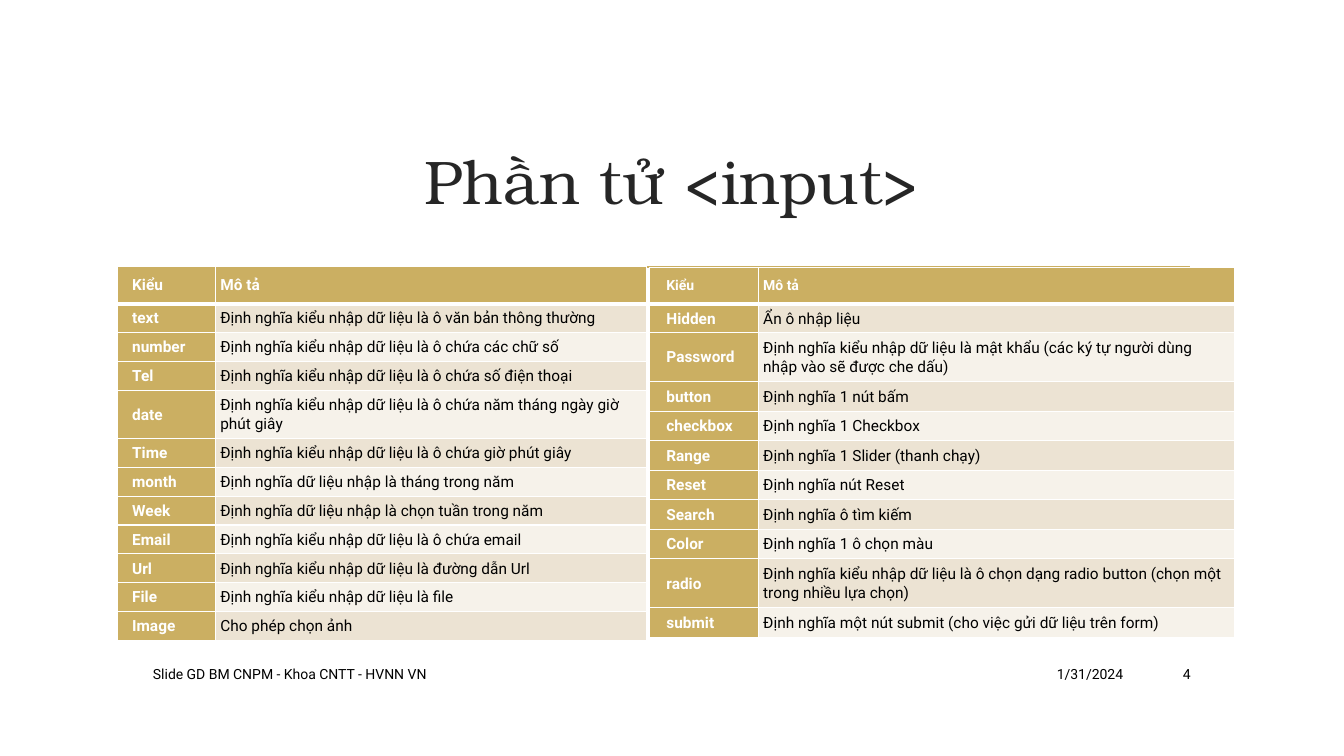
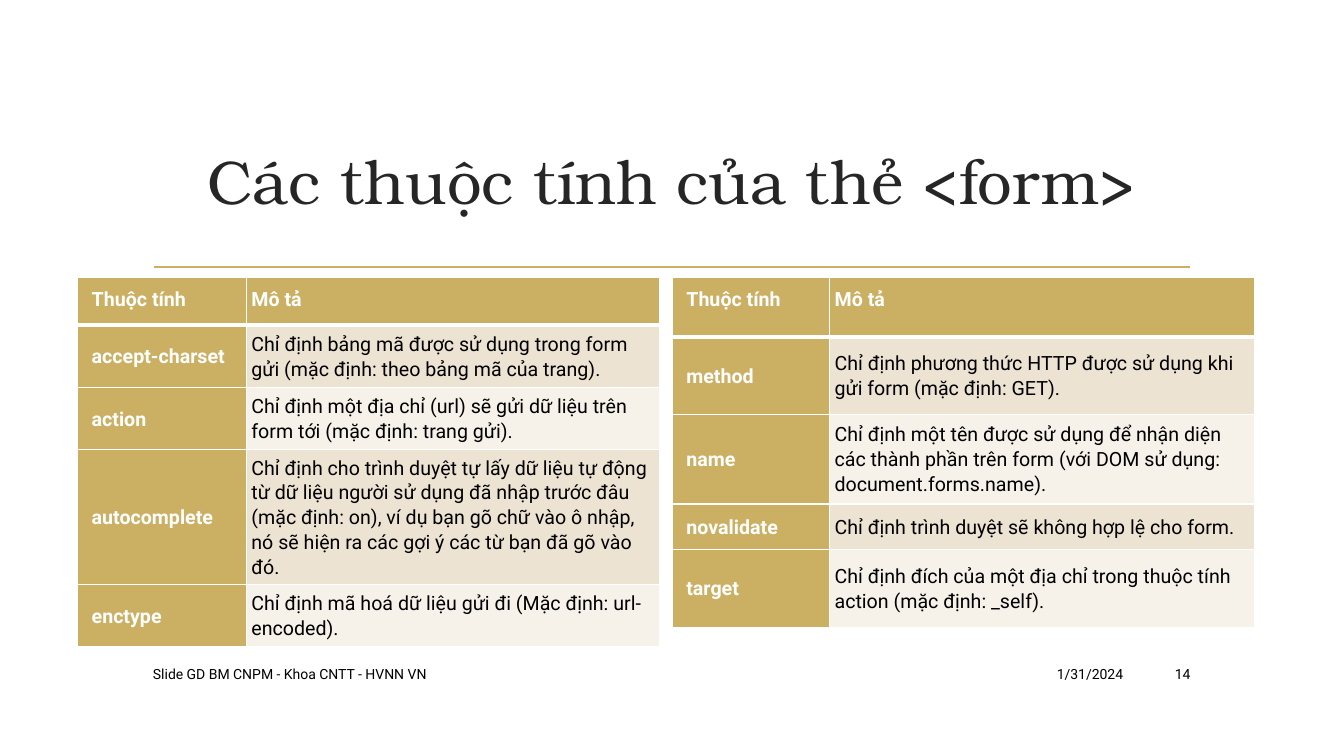
import lxml.etree
import pptx
import pptx.dml.color
import pptx.enum.shapes
import pptx.enum.text
import pptx.oxml.ns
import pptx.util

Pt = pptx.util.Pt
RGBColor = pptx.dml.color.RGBColor
Align = pptx.enum.text.PP_ALIGN
MIDDLE = pptx.enum.text.MSO_ANCHOR.MIDDLE
TOP = pptx.enum.text.MSO_ANCHOR.TOP
qn = pptx.oxml.ns.qn

GOLD = RGBColor(0xCB, 0xAF, 0x62)
SAND = RGBColor(0xEC, 0xE3, 0xD3)
CREAM = RGBColor(0xF6, 0xF2, 0xEA)
INK = RGBColor(0x26, 0x26, 0x26)
BLACK = RGBColor(0, 0, 0)
WHITE = RGBColor(0xFF, 0xFF, 0xFF)

INPUT_TYPES = [
    ("Kiểu", "Mô tả"),
    ("text", "Định nghĩa kiểu nhập dữ liệu là ô văn bản thông thường"),
    ("number", "Định nghĩa kiểu nhập dữ liệu là ô chứa các chữ số"),
    ("Tel", "Định nghĩa kiểu nhập dữ liệu là ô chứa số điện thoại"),
    ("date", "Định nghĩa kiểu nhập dữ liệu là ô chứa năm tháng ngày giờ phút giây"),
    ("Time", "Định nghĩa kiểu nhập dữ liệu là ô chứa giờ phút giây"),
    ("month", "Định nghĩa dữ liệu nhập là tháng trong năm"),
    ("Week", "Định nghĩa dữ liệu nhập là chọn tuần trong năm"),
    ("Email", "Định nghĩa kiểu nhập dữ liệu là ô chứa email"),
    ("Url", "Định nghĩa kiểu nhập dữ liệu là đường dẫn Url"),
    ("File", "Định nghĩa kiểu nhập dữ liệu là file"),
    ("Image", "Cho phép chọn ảnh"),
]
MORE_INPUT_TYPES = [
    ("Kiểu", "Mô tả"),
    ("Hidden", "Ẩn ô nhập liệu"),
    ("Password", "Định nghĩa kiểu nhập dữ liệu là mật khẩu (các ký tự người dùng "
                 "nhập vào sẽ được che dấu)"),
    ("button", "Định nghĩa 1 nút bấm"),
    ("checkbox", "Định nghĩa 1 Checkbox"),
    ("Range", "Định nghĩa 1 Slider (thanh chạy)"),
    ("Reset", "Định nghĩa nút Reset"),
    ("Search", "Định nghĩa ô tìm kiếm"),
    ("Color", "Định nghĩa 1 ô chọn màu"),
    ("radio", "Định nghĩa kiểu nhập dữ liệu là ô chọn dạng radio button (chọn một "
              "trong nhiều lựa chọn)"),
    ("submit", "Định nghĩa một nút submit (cho việc gửi dữ liệu trên form)"),
]
FORM_ATTRIBUTES = [
    ("Thuộc tính", "Mô tả"),
    ("accept-charset", "Chỉ định bảng mã được sử dụng trong form gửi "
                       "(mặc định: theo bảng mã của trang)."),
    ("action", "Chỉ định một địa chỉ (url) sẽ gửi dữ liệu trên form tới "
               "(mặc định: trang gửi)."),
    ("autocomplete", "Chỉ định cho trình duyệt tự lấy dữ liệu tự động từ dữ liệu người "
                     "sử dụng đã nhập trước đâu (mặc định: on), ví dụ bạn gõ chữ vào ô "
                     "nhập, nó sẽ hiện ra các gợi ý các từ bạn đã gõ vào đó."),
    ("enctype", "Chỉ định mã hoá dữ liệu gửi đi (Mặc định: url-encoded)."),
]
MORE_FORM_ATTRIBUTES = [
    ("Thuộc tính", "Mô tả"),
    ("method", "Chỉ định phương thức HTTP được sử dụng khi gửi form (mặc định: GET)."),
    ("name", "Chỉ định một tên được sử dụng để nhận diện các thành phần trên form "
             "(với DOM sử dụng: document.forms.name)."),
    ("novalidate", "Chỉ định trình duyệt sẽ không hợp lệ cho form."),
    ("target", "Chỉ định đích của một địa chỉ trong thuộc tính action (mặc định: _self)."),
]


class Deck:
    TITLE_FONT = "TeX Gyre Bonum"
    BODY_FONT = "Roboto"
    FOOTER = "Slide GD BM CNPM - Khoa CNTT - HVNN VN"
    DATE = "1/31/2024"

    def __init__(self):
        self.presentation = pptx.Presentation()
        self.presentation.slide_width = Pt(960)
        self.presentation.slide_height = Pt(540)
        self.slide = None

    def add_slide(self, title, number):
        layout = self.presentation.slide_layouts.get_by_name("Title Only")
        self.slide = self.presentation.slides.add_slide(layout)
        self.title(title)
        self.rule()
        self.footer_text(683.3, 126, self.DATE, Align.RIGHT)
        self.footer_text(102.2, 575.3, self.FOOTER, Align.LEFT)
        self.footer_text(815, 42.5, number, Align.RIGHT)

    def styled_run(self, paragraph, text, size, color, font=BODY_FONT, bold=False):
        run = paragraph.add_run()
        run.text = text
        run.font.name = font
        run.font.size = Pt(size)
        run.font.bold = bold
        run.font.color.rgb = color

    def title(self, text):
        heading = self.slide.shapes.title
        heading.left, heading.top = Pt(102.2), Pt(77)
        heading.width, heading.height = Pt(756), Pt(103)
        heading.text_frame.vertical_anchor = MIDDLE
        paragraph = heading.text_frame.paragraphs[0]
        paragraph.alignment = Align.CENTER
        self.styled_run(paragraph, text, 44, INK, self.TITLE_FONT)

    def rule(self):
        line = self.slide.shapes.add_connector(
            pptx.enum.shapes.MSO_CONNECTOR.STRAIGHT,
            Pt(110.2), Pt(190.8), Pt(850.3), Pt(190.8))
        line.line.color.rgb = GOLD
        line.line.width = Pt(1.25)
        lxml.etree.SubElement(line._element.spPr, qn("a:effectLst"))

    def footer_text(self, left, width, text, alignment):
        box = self.slide.shapes.add_textbox(Pt(left), Pt(470), Pt(width), Pt(22.3))
        box.text_frame.word_wrap = True
        box.text_frame.vertical_anchor = MIDDLE
        paragraph = box.text_frame.paragraphs[0]
        paragraph.alignment = alignment
        self.styled_run(paragraph, text, 10, BLACK)

    def table(self, left, top, widths, heights, rows, size, indent, header_size=None):
        """Draw a two-column table: gold header row and key column, banded descriptions."""
        table = self.slide.shapes.add_table(
            len(rows), len(widths), Pt(left), Pt(top),
            Pt(sum(widths)), Pt(sum(heights))).table
        table.horz_banding = False
        for column, width in zip(table.columns, widths):
            column.width = Pt(width)
        for r, (height, texts) in enumerate(zip(heights, rows)):
            table.rows[r].height = Pt(height)
            for c, text in enumerate(texts):
                is_head = r == 0
                is_gold = is_head or c == 0
                cell = table.cell(r, c)
                cell.fill.solid()
                cell.fill.fore_color.rgb = GOLD if is_gold else SAND if r % 2 else CREAM
                cell.vertical_anchor = TOP if is_head else MIDDLE
                cell.margin_left = Pt(indent if c == 0 else 3.4)
                cell.margin_right = Pt(3.4)
                cell.margin_top = cell.margin_bottom = Pt(6.2 if is_head else 3.2)
                paragraph = cell.text_frame.paragraphs[0]
                paragraph.line_spacing = 1.07
                self.styled_run(paragraph, text, header_size or size if is_head else size,
                                WHITE if is_gold else BLACK, bold=is_gold)
                self.borders(cell, top=3 if r == 1 else 1, bottom=3 if is_head else 1)

    def borders(self, cell, top, bottom):
        properties = cell._tc.get_or_add_tcPr()
        sides = (("a:lnL", 1), ("a:lnR", 1), ("a:lnT", top), ("a:lnB", bottom))
        for position, (tag, width) in enumerate(sides):
            edge = lxml.etree.Element(qn(tag), w=str(Pt(width)))
            fill = lxml.etree.SubElement(edge, qn("a:solidFill"))
            lxml.etree.SubElement(fill, qn("a:srgbClr"), val=str(WHITE))
            properties.insert(position, edge)


def main():
    deck = Deck()

    deck.add_slide("Phần tử <input>", "4")
    deck.table(83.6, 190.4, [70.4, 308], [26.5] + [20.6] * 3 + [34.3] + [20.6] * 7,
               INPUT_TYPES, size=11, indent=10.8)
    deck.table(464, 191, [77.8, 340.2],
               [26, 20.6, 35] + [21.1] * 6 + [35, 21.1],
               MORE_INPUT_TYPES, size=11, indent=12, header_size=10)

    deck.add_slide("Các thuộc tính của thẻ <form>", "14")
    deck.table(55.5, 198.3, [120.7, 295.3], [33.8, 44.6, 44.6, 95, 44.6],
               FORM_ATTRIBUTES, size=14, indent=10)
    deck.table(480.3, 198.3, [112.5, 303.5], [42.4, 55.2, 64.2, 32.7, 55.2],
               MORE_FORM_ATTRIBUTES, size=14, indent=10)

    deck.presentation.save("out.pptx")


if __name__ == "__main__":
    main()
